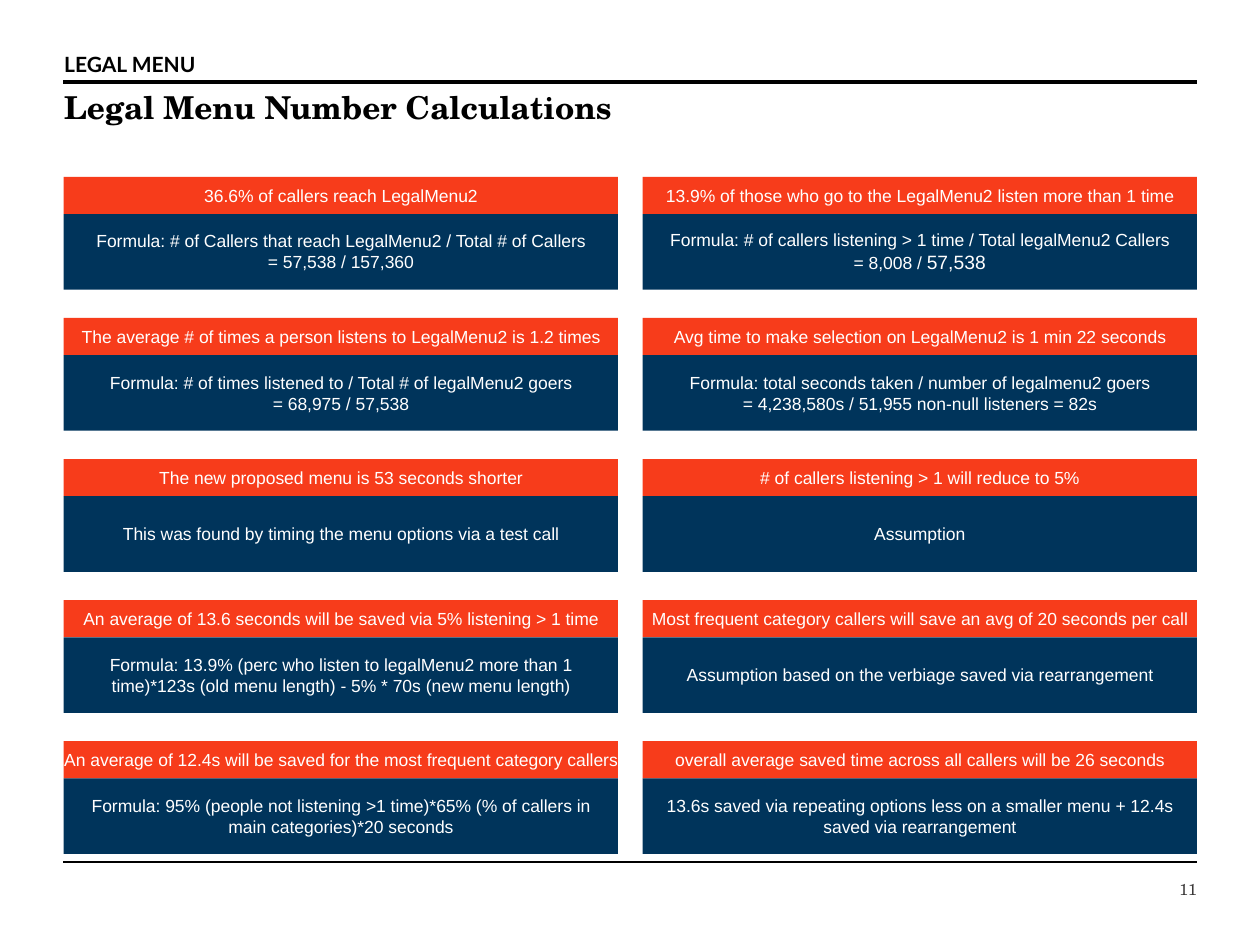
from collections import namedtuple
from dataclasses import dataclass

from lxml import etree
from pptx import Presentation
from pptx.dml.color import RGBColor
from pptx.enum.shapes import MSO_CONNECTOR, MSO_SHAPE
from pptx.enum.text import MSO_ANCHOR, PP_ALIGN
from pptx.oxml.ns import qn
from pptx.util import Pt

RECT = MSO_SHAPE.RECTANGLE
LINE = MSO_CONNECTOR.STRAIGHT
TOP, MID = MSO_ANCHOR.TOP, MSO_ANCHOR.MIDDLE
LEFT, MIDDLE, RIGHT = PP_ALIGN.LEFT, PP_ALIGN.CENTER, PP_ALIGN.RIGHT

Box = namedtuple("Box", "x y w h")
Style = namedtuple("Style", "font size color bold align")


@dataclass(frozen=True)
class Theme:
    ink: str = "000000"
    orange: str = "F73C1B"
    navy: str = "00345B"
    label: Style = Style("Lato", 12, "000000", True, LEFT)
    title: Style = Style("TeX Gyre Schola", 18, "000000", True, LEFT)
    page: Style = Style("TeX Gyre Schola", 9, "3A3838", False, RIGHT)
    card: Style = Style("Arial", 10, "FFFFFF", False, MIDDLE)
    large: Style = Style("Arial", 11, "FFFFFF", False, MIDDLE)


THEME = Theme()

CARDS = [
    ("36.6% of callers reach LegalMenu2",
     ["Formula: # of Callers that reach LegalMenu2 / Total # of Callers",
      "= 57,538 / 157,360"]),
    ("13.9% of those who go to the LegalMenu2 listen more than 1 time",
     ["Formula: # of callers listening > 1 time / Total legalMenu2 Callers",
      [("= 8,008 / ", THEME.card), ("57,538", THEME.large)]]),
    ("The average # of times a person listens to LegalMenu2 is 1.2 times",
     ["Formula: # of times listened to / Total # of legalMenu2 goers",
      "= 68,975 / 57,538"]),
    ("Avg time to make selection on LegalMenu2 is 1 min 22 seconds",
     ["Formula: total seconds taken / number of legalmenu2 goers",
      "= 4,238,580s / 51,955 non-null listeners = 82s"]),
    ("The new proposed menu is 53 seconds shorter",
     ["This was found by timing the menu options via a test call"]),
    ("# of callers listening > 1 will reduce to 5%",
     ["Assumption"]),
    ("An average of 13.6 seconds will be saved via 5% listening > 1 time",
     ["Formula: 13.9% (perc who listen to legalMenu2 more than 1 time)*123s "
      "(old menu length) - 5% * 70s (new menu length)"]),
    ("Most frequent category callers will save an avg of 20 seconds per call",
     ["Assumption based on the verbiage saved via rearrangement"]),
    ("An average of 12.4s will be saved for the most frequent category callers",
     ["Formula: 95% (people not listening >1 time)*65% (% of callers in main "
      "categories)*20 seconds"]),
    ("overall average saved time across all callers will be 26 seconds",
     ["13.6s saved via repeating options less on a smaller menu + 12.4s saved "
      "via rearrangement"]),
]


def points(box):
    return [Pt(round(side, 2)) for side in box]


def write(shape, lines, style, pad, anchor=TOP, wrap=True, space=1.0):
    frame = shape.text_frame
    frame.word_wrap = wrap
    frame.vertical_anchor = anchor
    frame.margin_left = frame.margin_right = Pt(pad[0])
    frame.margin_top, frame.margin_bottom = Pt(pad[1]), Pt(pad[2])
    for i, line in enumerate(lines):
        para = frame.add_paragraph() if i else frame.paragraphs[0]
        para.alignment = style.align
        para.line_spacing = space
        runs = [(line, style)] if isinstance(line, str) else line
        for text, look in runs:
            run = para.add_run()
            run.text = text
            font = run.font
            font.name, font.size, font.bold = look.font, Pt(look.size), look.bold
            font.color.rgb = RGBColor.from_string(look.color)


def add_rule(slide, box, weight):
    x, y, w, _ = box
    rule = slide.shapes.add_connector(LINE, Pt(x), Pt(y), Pt(x + w), Pt(y))
    rule.line.color.rgb = RGBColor.from_string(THEME.ink)
    rule.line.width = Pt(weight)
    props = rule._element.spPr
    etree.SubElement(props, qn("a:effectLst"))


def add_panel(slide, box, lines, fill, wrap):
    panel = slide.shapes.add_shape(RECT, *points(box))
    panel.shadow.inherit = False
    panel.fill.solid()
    panel.fill.fore_color.rgb = RGBColor.from_string(fill)
    panel.line.fill.background()
    write(panel, lines, THEME.card, (7.2, 1.6, 2), MID, wrap)


def add_card(slide, box, head, body):
    x, y, w, h = box
    bar = 21.2
    add_panel(slide, Box(x, y, w, bar), [head], THEME.orange, False)
    add_panel(slide, Box(x, y + bar, w, h - bar), body, THEME.navy, True)


def add_grid(slide, box, cards):
    cols, rows, gap_x, gap_y = 2, 5, 14, 16.2
    wide = (box.w - gap_x * (cols - 1)) / cols
    high = (box.h - gap_y * (rows - 1)) / rows
    for i, (head, body) in enumerate(cards):
        row, col = divmod(i, cols)
        spot = Box(box.x + col * (wide + gap_x),
                   box.y + row * (high + gap_y), wide, high)
        add_card(slide, spot, head, body)


def add_header(slide, box, label, title):
    x, y, w, _ = box
    add_rule(slide, Box(x, y + 19.4, w, 0), 2.5)
    parts = [(label, THEME.label, 0, 17.3), (title, THEME.title, 21.6, 43.2)]
    for text, style, drop, high in parts:
        area = slide.shapes.add_textbox(*points(Box(x, y + drop, w, high)))
        write(area, [text], style, (0.7, 3.6, 3.6), space=0.9)


def add_footer(slide, box, number):
    x, y, w, h = box
    add_rule(slide, Box(x, y, w, 0), 1)
    spot = Box(x + w - 52, y + 6.5, 52, h - 6.5)
    area = slide.shapes.add_textbox(*points(spot))
    write(area, [number], THEME.page, (0, 3.6, 3.6), MID)


def main():
    deck = Presentation()
    deck.slide_width, deck.slide_height = Pt(720), Pt(540)
    slide = deck.slides.add_slide(deck.slide_layouts[6])
    add_header(slide, Box(36, 27.4, 648, 65), "LEGAL MENU",
               "Legal Menu Number Calculations")
    add_footer(slide, Box(36, 492.5, 648, 25), "11")
    add_grid(slide, Box(36.4, 101.1, 647.6, 386.9), CARDS)
    deck.save("out.pptx")


if __name__ == "__main__":
    main()
